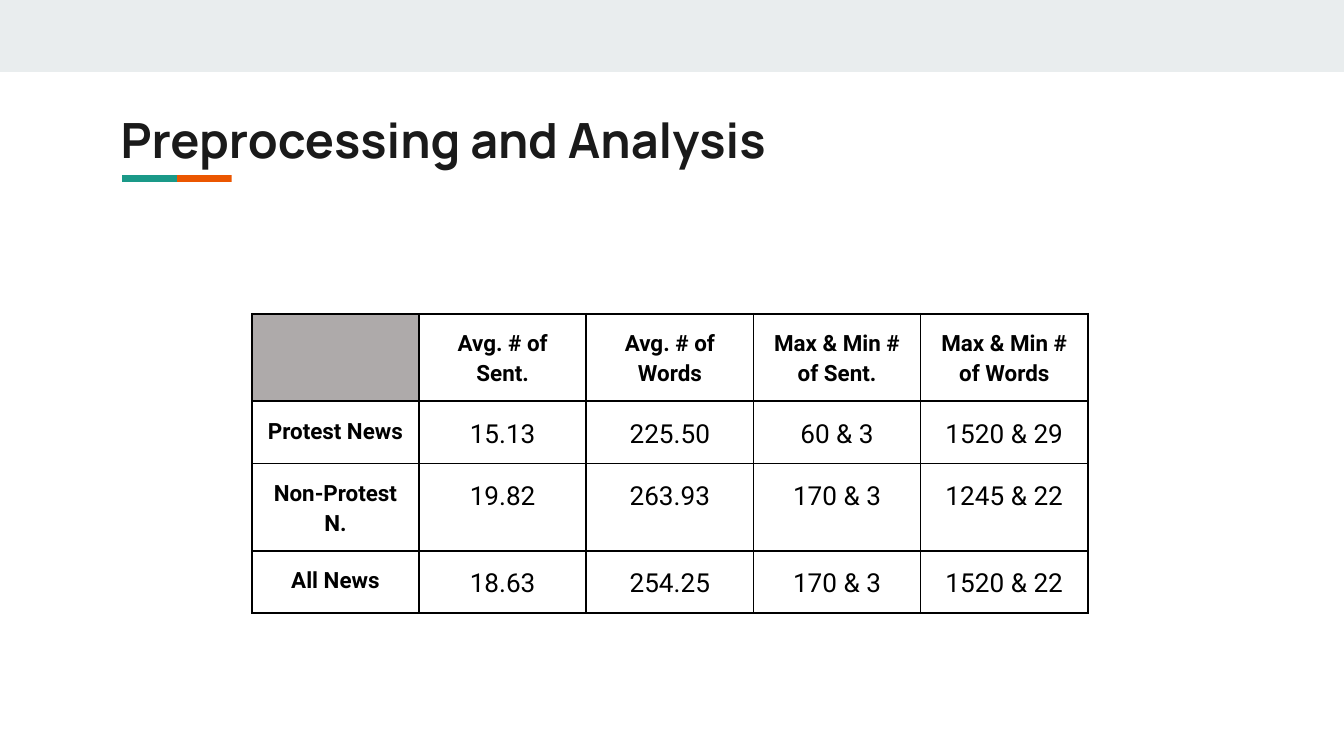
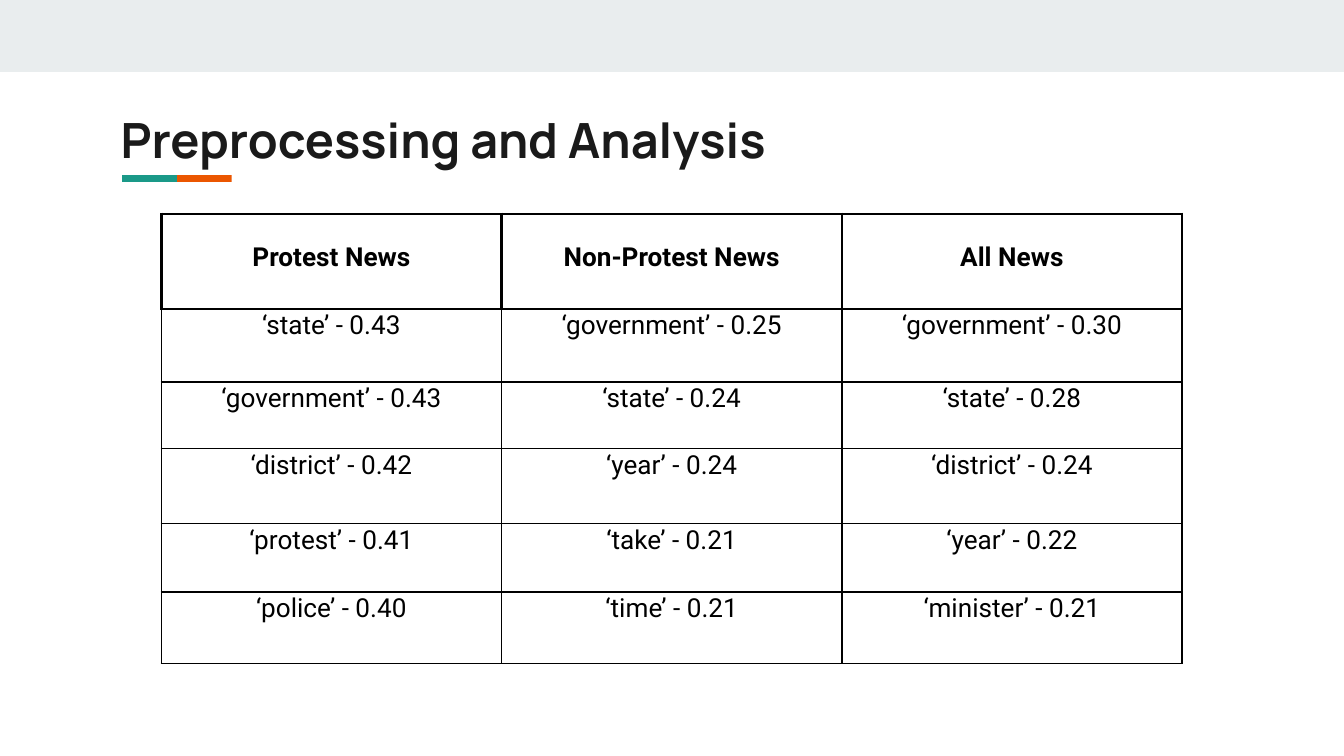
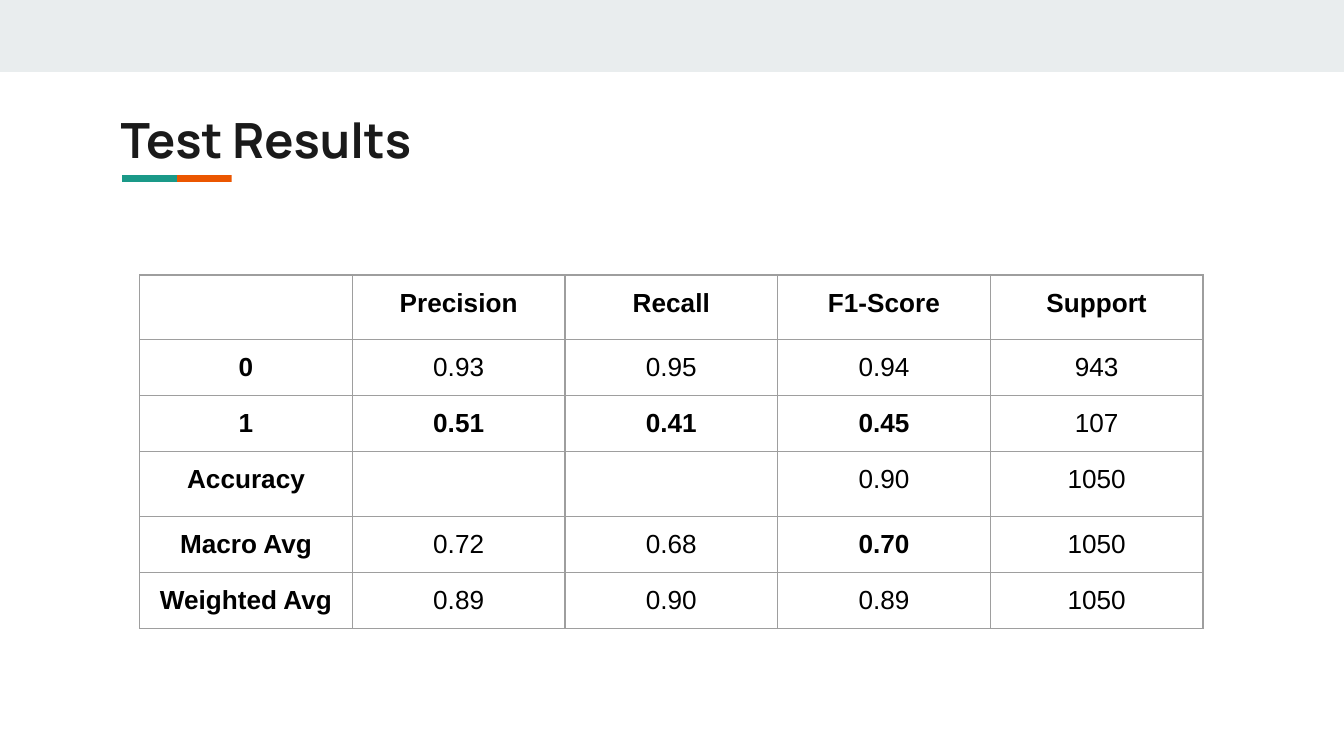
from pptx import Presentation
from pptx.dml.color import RGBColor
from pptx.enum.shapes import MSO_SHAPE
from pptx.enum.text import MSO_ANCHOR, MSO_AUTO_SIZE, PP_ALIGN
from pptx.oxml.ns import qn
from pptx.util import Cm, Pt
from lxml.etree import SubElement

COLORS = {
    "band": "E9EDEE",
    "green": "1A9988",
    "orange": "EB5600",
    "title": "1A1A1A",
    "text": "000000",
    "corner": "AEAAAA",
    "grid": "9E9E9E",
}
SLIDE_W, SLIDE_H = 25.4, 14.29
TITLE_FONT = {"name": "Manrope", "size": Pt(26), "bold": True}
INSET = 0.25

STATS = [
    ["", "Avg. # of Sent.", "Avg. # of Words", "Max & Min # of Sent.", "Max & Min # of Words"],
    ["Protest News", "15.13", "225.50", "60 & 3", "1520 & 29"],
    ["Non-Protest N.", "19.82", "263.93", "170 & 3", "1245 & 22"],
    ["All News", "18.63", "254.25", "170 & 3", "1520 & 22"],
]
TOP_WORDS = [
    ["Protest News", "Non-Protest News", "All News"],
    ["‘state’ - 0.43", "‘government’ - 0.25", "‘government’ - 0.30"],
    ["‘government’ - 0.43", "‘state’ - 0.24", "‘state’ - 0.28"],
    ["‘district’ - 0.42", "‘year’ - 0.24", "‘district’ - 0.24"],
    ["‘protest’ - 0.41", "‘take’ - 0.21", "‘year’ - 0.22"],
    ["‘police’ - 0.40", "‘time’ - 0.21", "‘minister’ - 0.21"],
]
RESULTS = [
    ["", "Precision", "Recall", "F1-Score", "Support"],
    ["0", "0.93", "0.95", "0.94", "943"],
    ["1", "0.51", "0.41", "0.45", "107"],
    ["Accuracy", "", "", "0.90", "1050"],
    ["Macro Avg", "0.72", "0.68", "0.70", "1050"],
    ["Weighted Avg", "0.89", "0.90", "0.89", "1050"],
]
BEST_SCORES = {(2, 1), (2, 2), (2, 3), (4, 3)}


def rgb(name):
    return RGBColor.from_string(COLORS[name])


def set_format(target, values):
    for name, value in values.items():
        setattr(target, name, value)


def add_bar(shapes, left, top, width, height, color, rotation=0):
    bar = shapes.add_shape(MSO_SHAPE.RECTANGLE, Cm(left), Cm(top), Cm(width), Cm(height))
    bar.rotation = rotation
    bar.shadow.inherit = False
    bar.fill.solid()
    bar.fill.fore_color.rgb = rgb(color)
    bar.line.fill.background()


def add_title_rule(s):
    """Add two upright bars, turned to lie end to end, in one scaled group."""
    length, thickness = 1.48, 0.07
    group = s.shapes.add_group_shape()
    for slot, color in ((1, "orange"), (0, "green")):
        add_bar(group.shapes, (slot + 0.5) * length - thickness / 2, (thickness - length) / 2,
                thickness, length, color, rotation=270)
    set_format(group, {"left": Cm(2.31), "top": Cm(3.31), "width": Cm(2.07), "height": Cm(0.13)})
    xfrm = group._element.grpSpPr.find(qn("a:xfrm"))
    inner = {"a:chOff": {"x": 0, "y": 0},
             "a:chExt": {"cx": Cm(2 * length), "cy": Cm(thickness)}}
    for tag, values in inner.items():
        for name, value in values.items():
            xfrm.find(qn(tag)).set(name, str(int(value)))


def add_slide(prs, title):
    """Add a slide with the top band, the two-colour rule and a title."""
    s = prs.slides.add_slide(prs.slide_layouts[5])
    add_bar(s.shapes, 0, 0, SLIDE_W, 1.36, "band")
    add_title_rule(s)
    sp = s.shapes.title
    set_format(sp, {"left": Cm(2.03), "top": Cm(1.82), "width": Cm(21.36), "height": Cm(1.5)})
    tf = sp.text_frame
    tf.text = title
    set_format(tf, {"word_wrap": True, "auto_size": MSO_AUTO_SIZE.NONE,
                    "vertical_anchor": MSO_ANCHOR.TOP})
    for side in ("left", "top", "right", "bottom"):
        setattr(tf, f"margin_{side}", Cm(INSET))
    p = tf.paragraphs[0]
    p.alignment = PP_ALIGN.LEFT
    r = p.runs[0]
    set_format(r.font, TITLE_FONT)
    r.font.color.rgb = rgb("title")
    return s


def set_borders(cell, color, widths):
    """Draw the left, right, top and bottom borders with widths in points."""
    tc_pr = cell._tc.get_or_add_tcPr()
    for side, width in zip("LRTB", widths):
        ln = SubElement(tc_pr, qn(f"a:ln{side}"), w=str(Pt(width)))
        fill = SubElement(ln, qn("a:solidFill"))
        SubElement(fill, qn("a:srgbClr"), val=COLORS[color])


def fill_cell(cell, text, font, paragraph, side_inset):
    set_format(cell, {"margin_left": Cm(side_inset), "margin_right": Cm(side_inset),
                      "margin_top": Cm(INSET), "margin_bottom": Cm(INSET)})
    if not text:
        set_format(cell, {"margin_top": 0, "margin_bottom": 0})
        return
    p = cell.text_frame.paragraphs[0]
    set_format(p, {"alignment": PP_ALIGN.CENTER, **paragraph})
    r = p.add_run()
    r.text = text
    set_format(r.font, font)
    r.font.color.rgb = rgb("text")


def add_grid(s, rows, left, top, col_width, heights, font_name, *, head_size=14,
             head_column=True, bold_cells=(), head_paragraph={}, body_paragraph={},
             side_inset=0.19, border="text", widths=(1, 1, 1, 1), head_widths=None):
    """Add a table with equal columns."""
    n_cols = len(rows[0])
    table = s.shapes.add_table(len(rows), n_cols, Cm(left), Cm(top),
                               Cm(n_cols * col_width), Cm(sum(heights))).table
    set_format(table, {"first_row": False, "horz_banding": False})
    for column in table.columns:
        column.width = Cm(col_width)
    for i, (row, height) in enumerate(zip(rows, heights)):
        table.rows[i].height = Cm(height)
        for j, text in enumerate(row):
            cell = table.cell(i, j)
            is_head = i == 0 or (head_column and j == 0)
            font = {"name": font_name, "size": Pt(head_size if is_head else 14),
                    "bold": is_head or (i, j) in bold_cells}
            fill_cell(cell, text, font, head_paragraph if i == 0 else body_paragraph, side_inset)
            set_borders(cell, border, head_widths if head_widths and i == 0 else widths)
            cell.fill.background()
    return table


def main():
    prs = Presentation()
    set_format(prs, {"slide_width": Cm(SLIDE_W), "slide_height": Cm(SLIDE_H)})

    s = add_slide(prs, "Preprocessing and Analysis")
    spacing = {"line_spacing": 1.15}
    stats = add_grid(s, STATS, 4.76, 5.93, 3.16, [1.65, 1.18, 1.65, 1.18], "Roboto",
                     head_size=12, head_paragraph=spacing, body_paragraph=spacing)
    corner = stats.cell(0, 0)
    corner.fill.solid()
    corner.fill.fore_color.rgb = rgb("corner")

    s = add_slide(prs, "Preprocessing and Analysis")
    add_grid(s, TOP_WORDS, 3.05, 4.04, 6.43, [1.8, 1.38, 1.26, 1.42, 1.29, 1.35], "Roboto",
             head_column=False,
             head_paragraph={"line_spacing": 1.5, "space_before": Pt(12)},
             body_paragraph={"line_spacing": 0.5, "space_before": Pt(12)},
             head_widths=(1.5, 1.5, 1.5, 1))

    s = add_slide(prs, "Test Results")
    add_grid(s, RESULTS, 2.64, 5.2, 4.02, [1.22, 1.06, 1.06, 1.22, 1.06, 1.06], "Arial",
             bold_cells=BEST_SCORES, side_inset=INSET, border="grid", widths=(0.75,) * 4)

    prs.save("out.pptx")


if __name__ == "__main__":
    main()
